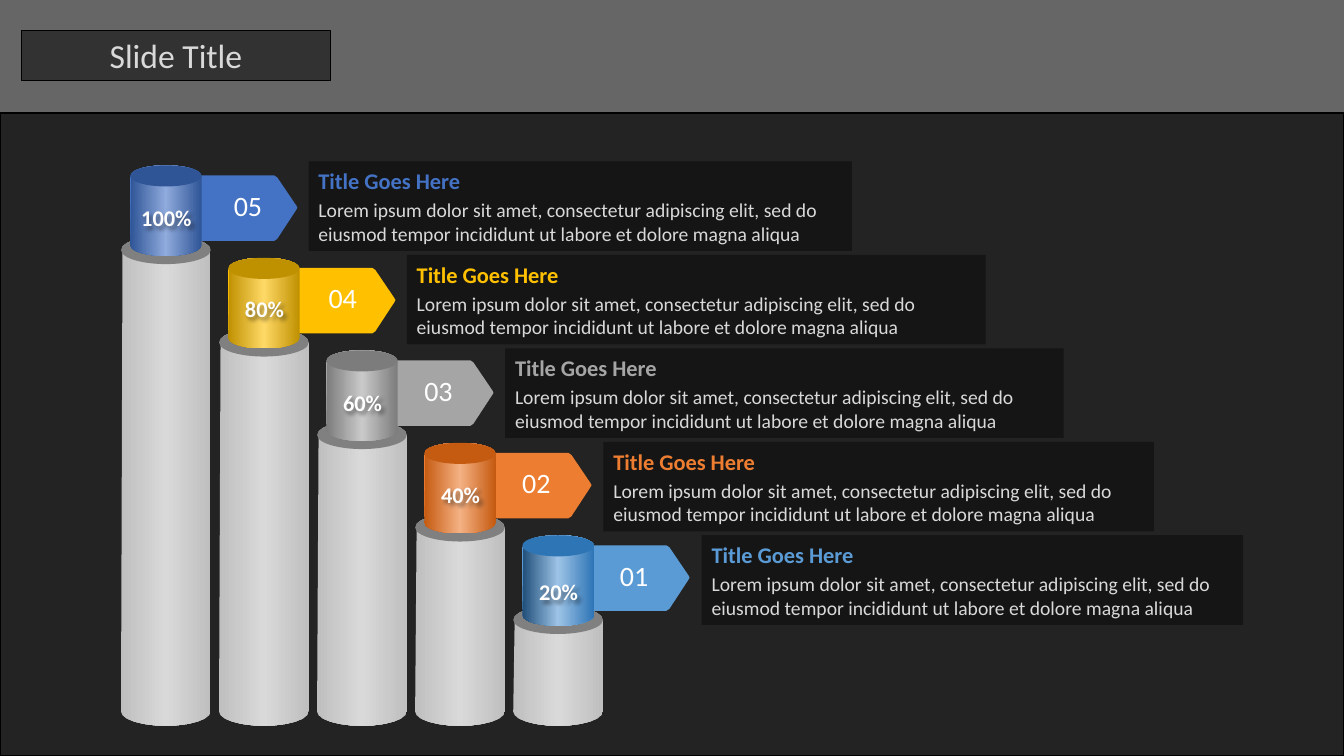
import math

import pptx
import pptx.dml.color
import pptx.enum.shapes
import pptx.enum.text
import pptx.oxml
import pptx.oxml.ns
import pptx.util
from lxml import etree

Inches, Pt = pptx.util.Inches, pptx.util.Pt
RECTANGLE = pptx.enum.shapes.MSO_SHAPE.RECTANGLE
OVAL = pptx.enum.shapes.MSO_SHAPE.OVAL
LEFT = pptx.enum.text.PP_ALIGN.LEFT
CENTER = pptx.enum.text.PP_ALIGN.CENTER
FONT = "Calibri"

COLORS = {"black": "000000", "panel": "0D0D0D", "white": "FFFFFF", "text": "D9D9D9",
          "column edge": "BFBFBF", "column middle": "D9D9D9", "column lid": "808080"}

SLIDE_TITLE = "Slide Title"
CARD_TITLE = "Title Goes Here"
CARD_BODY = ("Lorem ipsum dolor sit amet, consectetur adipiscing elit, sed do "
             "eiusmod tempor incididunt ut labore et dolore magna aliqua")

# number, percent, accent, can gradient, number left, percent top, card width
STEPS = [
    ("05", "100%", "4472C4", ("2F5597", "8FAADC", "2F5597"), 2.22, 1.98, 5.39),
    ("04", "80%", "FFC000", ("BF9000", "FFD966", "BF9000"), 3.16, 2.88, 5.74),
    ("03", "60%", "A5A5A5", ("7C7C7C", "C9C9C9", "7C7C7C"), 4.11, 3.81, 5.54),
    ("02", "40%", "ED7D31", ("C55A11", "F4B183", "C55A11"), 5.08, 4.72, 5.46),
    ("01", "20%", "5B9BD5", ("1F4E79", "9DC3E6", "2E75B6"), 6.05, 5.69, 5.37),
]
# first and last position of each staircase
COLUMN_LEFT, CAN_TOP = (1.2, 5.09), (1.64, 5.31)
CARD_LEFT, CARD_TOP = (3.06, 6.96), (1.6, 5.31)
COLUMN_BOTTOM = 7.2

# tag corners, slightly cut, measured from its top left
TAG_OUTLINE = [(0, 0.02), (0.02, 0), (1.43, 0), (1.46, 0.02), (1.65, 0.3), (1.66, 0.32),
               (1.65, 0.34), (1.46, 0.63), (1.43, 0.65), (0.02, 0.65), (0, 0.63)]

deck = pptx.Presentation()
deck.slide_width, deck.slide_height = Inches(13.33), Inches(7.5)
page = deck.slides.add_slide(deck.slide_layouts[6])


def rgb(color):
    return pptx.dml.color.RGBColor.from_string(color)


def fill_solid(shape, color, opacity=100):
    shape.shadow.inherit = False
    shape.line.fill.background()
    shape.fill.solid()
    shape.fill.fore_color.rgb = rgb(color)
    if opacity < 100:
        tint = shape.fill._xPr.find(".//" + pptx.oxml.ns.qn("a:srgbClr"))
        etree.SubElement(tint, pptx.oxml.ns.qn("a:alpha"), val=str(opacity * 1000))


def fill_gradient(shape, colors):
    """Fill from left to right with evenly spaced colours."""
    shape.shadow.inherit = False
    shape.line.fill.background()
    shape.fill.gradient()
    shape.fill.gradient_angle = 0
    stops = shape.fill._xPr.find(".//" + pptx.oxml.ns.qn("a:gsLst"))
    for stop in list(stops):
        stops.remove(stop)
    for index, color in enumerate(colors):
        position = str(100000 * index // (len(colors) - 1))
        stop = etree.SubElement(stops, pptx.oxml.ns.qn("a:gs"), pos=position)
        etree.SubElement(stop, pptx.oxml.ns.qn("a:srgbClr"), val=color)


def add_preset(kind, left, top, width, height, color, opacity=100):
    shape = page.shapes.add_shape(kind, Inches(left), Inches(top), Inches(width), Inches(height))
    fill_solid(shape, color, opacity)
    return shape


def add_outline(points):
    corners = [(Inches(x), Inches(y)) for x, y in points]
    builder = page.shapes.build_freeform(*corners[0])
    builder.add_line_segments(corners[1:], close=True)
    return builder.convert_to_shape()


def add_cylinder(left, top, width, bottom, lid_height, colors, lid_color):
    radius_x, radius_y = width / 2, lid_height / 2
    points = []
    for degrees in range(0, 361, 15):
        angle = math.radians(degrees)
        center_y = bottom - radius_y if degrees <= 180 else top + radius_y
        points.append((left + radius_x * (1 + math.cos(angle)),
                       center_y + radius_y * math.sin(angle)))
    fill_gradient(add_outline(points), colors)
    add_preset(OVAL, left, top, width, lid_height, lid_color)


def write(para, text, size, color, align=LEFT, bold=False):
    para.text = text
    para.alignment = align
    para.font.name, para.font.size, para.font.bold = FONT, Pt(size), bold
    para.font.color.rgb = rgb(color)


def add_label(left, top, width, height, *style):
    box = page.shapes.add_textbox(Inches(left), Inches(top), Inches(width), Inches(height))
    box.text_frame.word_wrap = False
    write(box.text_frame.paragraphs[0], *style)
    return box


def add_soft_shadow(box):
    box._element.spPr.append(pptx.oxml.parse_xml(
        f'<a:effectLst {pptx.oxml.ns.nsdecls("a")}>'
        '<a:outerShdw blurRad="38100" dist="38100" dir="2700000" algn="tl">'
        '<a:srgbClr val="000000"><a:alpha val="43000"/></a:srgbClr>'
        '</a:outerShdw></a:effectLst>'))


def add_card(left, top, width, accent):
    card = add_preset(RECTANGLE, left, top, width, 0.89, COLORS["black"], 40)
    frame = card.text_frame
    frame.word_wrap = True
    write(frame.paragraphs[0], CARD_TITLE, 16, accent, bold=True)
    body = frame.add_paragraph()
    write(body, CARD_BODY, 14, COLORS["text"])
    body.space_before = Pt(2.8)


def add_step(index, number, percent, accent, can_colors, number_left, percent_top, card_width):
    def place(ends):
        return ends[0] + (ends[1] - ends[0]) * index / (len(STEPS) - 1)

    column_left, can_top = place(COLUMN_LEFT), place(CAN_TOP)
    can_left = column_left + 0.09
    tag = add_outline([(can_left + x, can_top + 0.1 + y) for x, y in TAG_OUTLINE])
    fill_solid(tag, accent)
    column_colors = (COLORS["column edge"], COLORS["column middle"], COLORS["column edge"])
    add_cylinder(column_left, can_top + 0.7, 0.89, COLUMN_BOTTOM, 0.28,
                 column_colors, COLORS["column lid"])
    add_cylinder(can_left, can_top, 0.71, can_top + 0.9, 0.21, can_colors, can_colors[-1])
    add_label(number_left, can_top + 0.18, 0.49, 0.44, number, 20, COLORS["white"])
    share = add_label(can_left + 0.07, percent_top, 0.58, 0.42,
                      percent, 16, COLORS["white"], CENTER, True)
    share.text_frame.margin_left = share.text_frame.margin_right = 0
    add_soft_shadow(share)
    add_card(place(CARD_LEFT), place(CARD_TOP), card_width, accent)


add_preset(RECTANGLE, 0, 0, 13.33, 7.5, COLORS["black"], 60)
panel = add_preset(RECTANGLE, 0, 1.12, 13.33, 6.38, COLORS["panel"], 75)
title = add_preset(RECTANGLE, 0.21, 0.3, 3.07, 0.5, COLORS["black"], 50)
for framed, weight in ((panel, 1), (title, 0.75)):
    framed.line.color.rgb = rgb(COLORS["black"])
    framed.line.width = Pt(weight)
write(title.text_frame.paragraphs[0], SLIDE_TITLE, 24, COLORS["text"], CENTER)

for index, step in enumerate(STEPS):
    add_step(index, *step)

deck.save("out.pptx")
